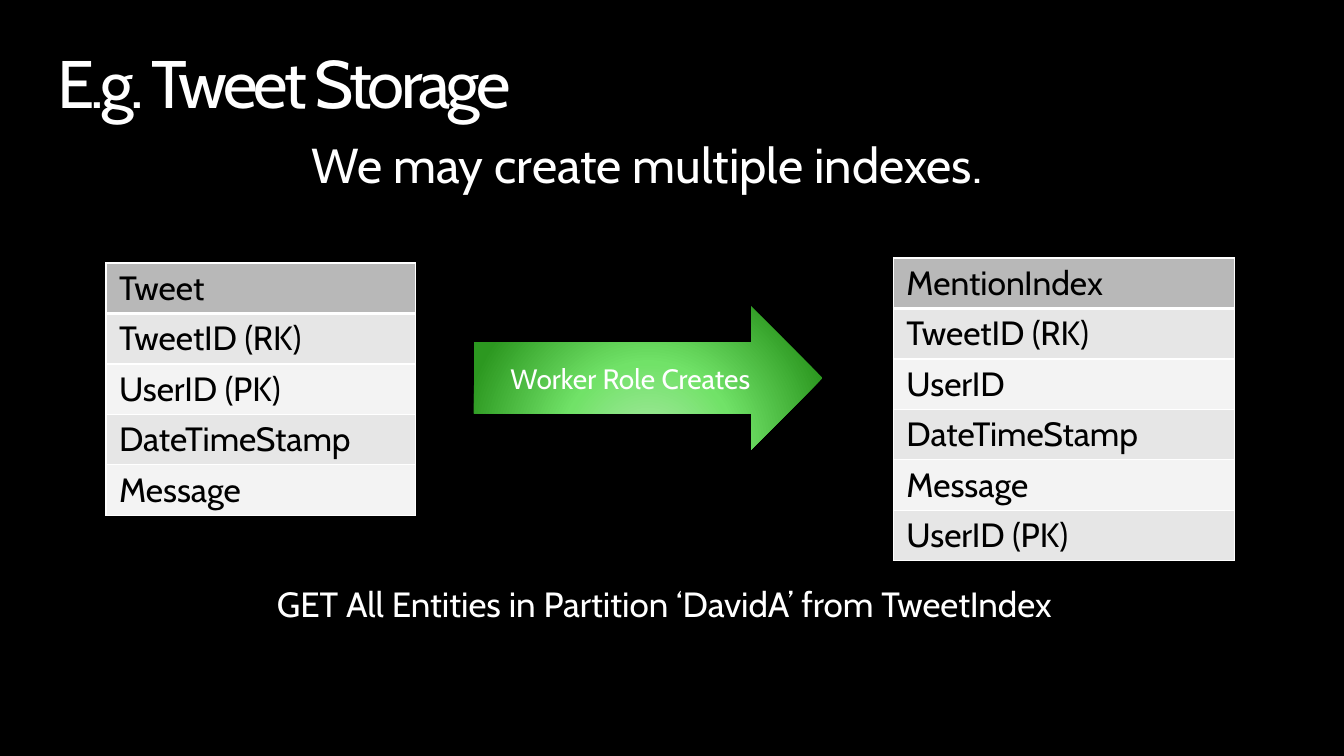
"""Builds the slide that shows an index table being created from the tweet table."""
from pptx import Presentation
from pptx.dml.color import RGBColor
from pptx.enum.shapes import MSO_SHAPE
from pptx.enum.text import MSO_ANCHOR, PP_ALIGN
from pptx.oxml import parse_xml
from pptx.oxml.ns import nsdecls, qn
from pptx.util import Inches, Pt

COLORS = {
    "background": "000000", "light": "FFFFFF", "dark": "000000",
    "header": "B8B8B8", "odd": "E6E6E6", "even": "F3F3F3",
    "glow": "ABE9A6", "green": "71E268", "edge": "2C9820",
}


def write(frame, text, size=24, color="light", align=PP_ALIGN.LEFT, anchor=MSO_ANCHOR.TOP,
          inset=(0.1, 0.05), leading=None, tracking=None):
    """Put one formatted line of text into a text frame."""
    frame.word_wrap = True
    frame.vertical_anchor = anchor
    frame.margin_left = frame.margin_right = Inches(inset[0])
    frame.margin_top = frame.margin_bottom = Inches(inset[1])
    paragraph = frame.paragraphs[0]
    paragraph.alignment = align
    if leading:
        paragraph.line_spacing = leading
    run = paragraph.add_run()
    run.text = text
    run.font.name = "Cabin"
    run.font.size = Pt(size)
    run.font.color.rgb = RGBColor.from_string(COLORS[color])
    if tracking:
        run._r.get_or_add_rPr().set("spc", str(int(tracking * 100)))


deck = Presentation()
deck.slide_width, deck.slide_height = Inches(13.33), Inches(7.5)
slide = deck.slides.add_slide(deck.slide_layouts[6])
slide.background.fill.solid()
slide.background.fill.fore_color.rgb = RGBColor.from_string(COLORS["background"])

column, row = deck.slide_width / 100, deck.slide_height / 100
centered = {"align": PP_ALIGN.CENTER}

lines = [
    ("E.g. Tweet Storage", (4.25, 6.67, 91.4, 9.73),
     {"size": 48, "inset": (0, 0), "leading": 0.9, "tracking": -2.7}),
    ("We may create multiple indexes. ", (5.7, 17.07, 85.7, 9.2), {"size": 35, **centered}),
    ("GET All Entities in Partition ‘DavidA’ from TweetIndex ", (3.83, 76.4, 91.75, 6.93),
     {"size": 25, **centered}),
]
for text, (left, top, width, height), style in lines:
    box = slide.shapes.add_textbox(int(left * column), int(top * row),
                                   int(width * column), int(height * row))
    write(box.text_frame, text, **style)

entities = [
    (7.88, 34.8, 23.03,
     ["Tweet", "TweetID (RK)", "UserID (PK)", "DateTimeStamp", "Message"]),
    (66.47, 34.13, 25.36,
     ["MentionIndex", "TweetID (RK)", "UserID", "DateTimeStamp", "Message", "UserID (PK)"]),
]
field_height = 6.67 * row
for left, top, width, fields in entities:
    table = slide.shapes.add_table(len(fields), 1, int(left * column), int(top * row),
                                   int(width * column), int(field_height * len(fields))).table
    for index, field in enumerate(fields):
        cell = table.cell(index, 0)
        write(cell.text_frame, field, color="dark")
        cell.margin_left = cell.margin_right = Inches(0.13)
        cell.margin_top = cell.margin_bottom = Inches(0.05)
        for side in "LRTB":
            weight = 3 if index == 0 and side == "B" else 1
            cell._tc.get_or_add_tcPr().append(parse_xml(
                f'<a:ln{side} {nsdecls("a")} w="{Pt(weight)}"><a:solidFill>'
                f'<a:srgbClr val="{COLORS["light"]}"/></a:solidFill></a:ln{side}>'))
        band = "header" if index == 0 else ("even", "odd")[index % 2]
        cell.fill.solid()
        cell.fill.fore_color.rgb = RGBColor.from_string(COLORS[band])

worker = slide.shapes.add_shape(MSO_SHAPE.RIGHT_ARROW, int(35.26 * column), int(40.53 * row),
                                int(25.95 * column), int(18.93 * row))
worker.shadow.inherit = False
worker.line.fill.background()
worker.fill.background()
stops = "".join(f'<a:gs pos="{share * 1000}"><a:srgbClr val="{COLORS[name]}"/></a:gs>'
                for share, name in [(0, "glow"), (46, "green"), (100, "edge")])
properties = worker._element.spPr
properties.replace(properties.find(qn("a:noFill")), parse_xml(
    f'<a:gradFill {nsdecls("a")} rotWithShape="1"><a:gsLst>{stops}</a:gsLst><a:path path="circle">'
    '<a:fillToRect l="50000" t="155000" r="50000" b="-55000"/></a:path></a:gradFill>'))
write(worker.text_frame, "Worker Role Creates", size=20, anchor=MSO_ANCHOR.MIDDLE, **centered)

deck.save("out.pptx")
